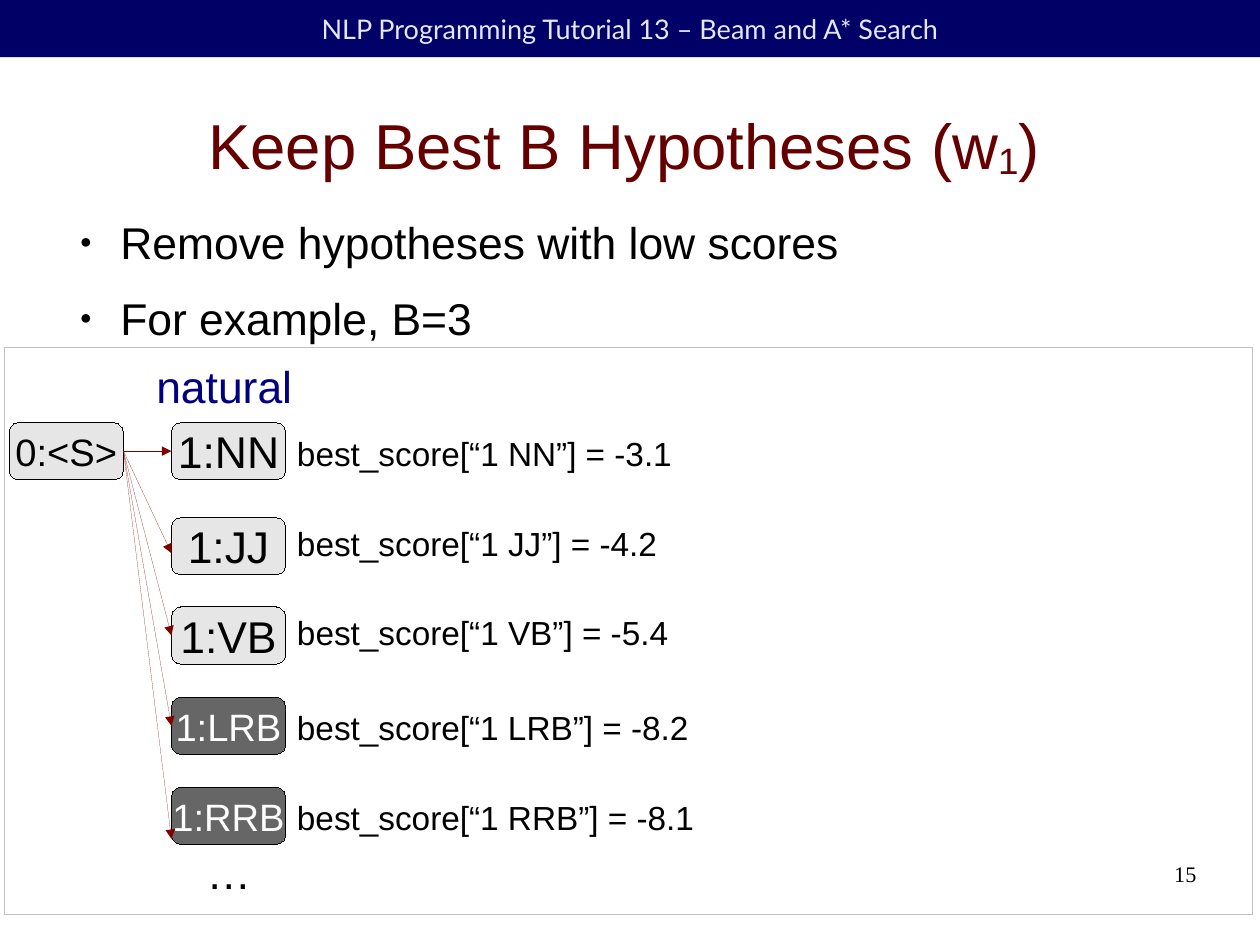
from lxml.etree import SubElement as Sub
from pptx import Presentation
from pptx.dml.color import RGBColor
from pptx.enum.shapes import MSO_CONNECTOR as Conn, MSO_SHAPE as Kind
from pptx.enum.text import MSO_ANCHOR as Anchor, MSO_AUTO_SIZE as Fit, PP_ALIGN as Align
from pptx.oxml.ns import qn
from pptx.util import Pt


def color(code):
    return RGBColor.from_string(code)


class Deck:
    """Hold the style and the current slide, and draw each kind of element."""

    face = "Arial"
    black = "000000"
    pale = "E6E6E6"
    dark = "666666"
    arrow = "800000"

    def __init__(self, wide, high):
        self.pres = Presentation()
        self.pres.slide_width, self.pres.slide_height = Pt(wide), Pt(high)
        self.slide = self.pres.slides.add_slide(self.pres.slide_layouts[1])
        self.shapes = self.slide.shapes

    def place(self, item, box):
        item.left, item.top, item.width, item.height = map(Pt, box)

    def frame(self, item, wrap=True, inset=(7.2, 3.6), anchor=Anchor.TOP):
        text = item.text_frame
        text.auto_size = Fit.NONE
        text.word_wrap = wrap
        text.vertical_anchor = anchor
        text.margin_left = text.margin_right = Pt(inset[0])
        text.margin_top = text.margin_bottom = Pt(inset[1])
        return text

    def style(self, para, size, hue=black, align=Align.LEFT, face=face):
        para.alignment = align
        para.font.size = Pt(size)
        para.font.name = face
        para.font.color.rgb = color(hue)

    def title(self, parts, box, size, hue):
        item = self.shapes.title
        self.place(item, box)
        para = self.frame(item, inset=(0, 0), anchor=Anchor.MIDDLE).paragraphs[0]
        for words, base in parts:
            run = para.add_run()
            run.text = words
            if base:
                run._r.get_or_add_rPr().set("baseline", str(base * 1000))
        self.style(para, size, hue, Align.CENTER)

    def bullets(self, lines, box, size):
        item = self.slide.placeholders[1]
        self.place(item, box)
        text = self.frame(item, inset=(0, 0))
        text.text = "\n".join(lines)
        for para in text.paragraphs:
            props = para._p.get_or_add_pPr()
            props.set("marL", str(Pt(34)))
            props.set("indent", str(Pt(-25.5)))
            Sub(Sub(props, qn("a:buClr")), qn("a:srgbClr"), val=self.black)
            Sub(props, qn("a:buSzPct"), val="45000")
            Sub(props, qn("a:buFont"), typeface=self.face)
            Sub(props, qn("a:buChar"), char="●")
            para.space_before = Pt(0)
            para.space_after = Pt(14.2)
            self.style(para, size)

    def label(self, words, box, size, hue=black, wrap=False, inset=(7.2, 3.6),
              align=Align.LEFT, face=face):
        text = self.frame(self.shapes.add_textbox(*map(Pt, box)), wrap, inset)
        text.text = words
        self.style(text.paragraphs[0], size, hue, align, face)

    def hair(self, item, hue):
        item.line.color.rgb = color(hue)
        item.line._get_or_add_ln().set("w", "0")

    def shape(self, kind, box, fill=None, line=None):
        item = self.shapes.add_shape(kind, *map(Pt, box))
        item.shadow.inherit = False
        if fill:
            item.fill.solid()
            item.fill.fore_color.rgb = color(fill)
        else:
            item.fill.background()
        if line:
            self.hair(item, line)
        else:
            item.line.fill.background()
        return item

    def banner(self, words, box, fill, hue, size):
        item = self.shape(Kind.RECTANGLE, box, fill)
        text = self.frame(item, anchor=Anchor.MIDDLE)
        text.text = words
        self.style(text.paragraphs[0], size, hue, Align.CENTER, "Lato")

    def node(self, words, left, top, size, fill=pale, hue=black):
        item = self.shape(Kind.ROUNDED_RECTANGLE, (left, top, 72, 36), fill, self.black)
        text = self.frame(item, wrap=False, anchor=Anchor.MIDDLE)
        text.text = words
        self.style(text.paragraphs[0], size, hue, Align.CENTER)
        return item

    def link(self, start, goal, end=None):
        line = self.shapes.add_connector(Conn.STRAIGHT, 0, 0, goal.left, Pt(end or 0))
        line.begin_connect(start, 3)
        if end is None:
            line.end_connect(goal, 1)
        self.hair(line, self.arrow)
        Sub(line.line._get_or_add_ln(), qn("a:tailEnd"), type="triangle")
        Sub(line._element.spPr, qn("a:effectLst"))


def main():
    wide, high = 793.75, 595.25
    deck = Deck(wide, high)
    deck.banner("NLP Programming Tutorial 13 – Beam and A* Search",
                (0, 0, wide, 36), "000066", "E6E6FF", 17)
    deck.title([("Keep Best B Hypotheses (w", 0), ("1", -8), (")", 0)],
               (36, 45, 714.2, 91.4), 40, "660000")
    deck.bullets(["Remove hypotheses with low scores", "For example, B=3"],
                 (41.8, 135.4, 714.2, 76.3), 28)

    root = deck.node("0:<S>", 5.8, 266.2, 24)
    rows = [
        ("NN", "-3.1", 266.2, 269.3, 250.6, None),
        ("JJ", "-4.2", 326, 325.7, 241.2, 348.5),
        ("VB", "-5.4", 382.3, 382.3, 248.4, None),
        ("LRB", "-8.2", 439.2, 441.8, 261.4, None),
        ("RRB", "-8.1", 495.9, 498.7, 264.2, 528.5),
    ]
    beam = 3
    for rank, (tag, score, top, level, span, end) in enumerate(rows):
        look = (28,) if rank < beam else (24, deck.dark, "FFFFFF")
        goal = deck.node(f"1:{tag}", 108, top, *look)
        deck.link(root, goal, end)
        deck.label(f"best_score[“1 {tag}”] = {score}", (180, level, span, 30.2), 21)

    deck.label("…", (123.1, 528.5, 42.5, 42), 28, wrap=True)
    deck.label("natural", (91.4, 222.5, 100.1, 38.2), 28, "000080")
    deck.shape(Kind.RECTANGLE, (2.9, 218.9, 786.2, 357.1), line="C0C0C0")
    deck.label("15", (568.8, 542.2, 185, 41), 14, wrap=True, inset=(0, 0),
               align=Align.RIGHT, face="Times New Roman")
    deck.pres.save("out.pptx")


if __name__ == "__main__":
    main()
